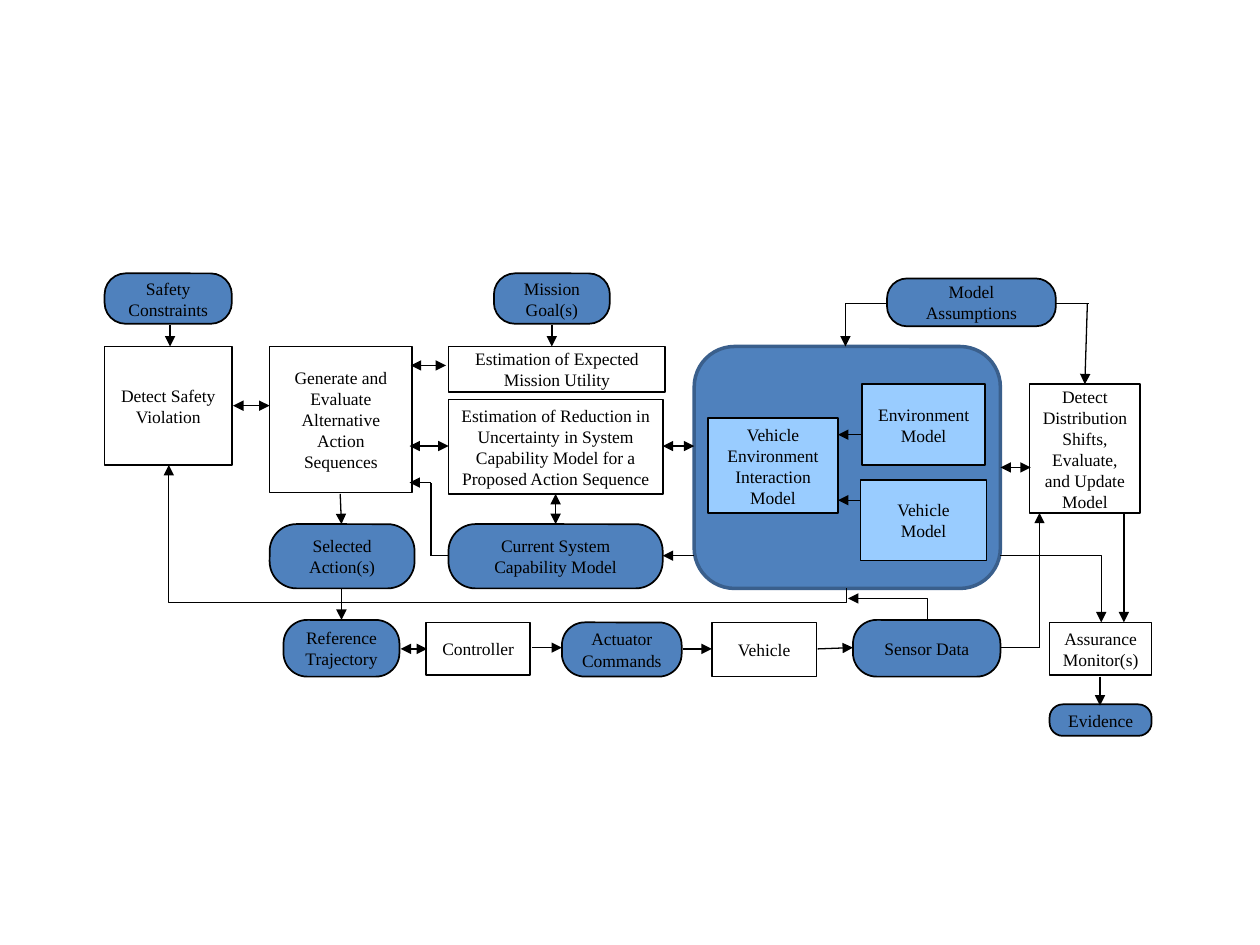
from itertools import pairwise
from lxml.etree import SubElement
from pptx import Presentation
from pptx.dml.color import RGBColor
from pptx.enum.shapes import MSO_CONNECTOR as Link, MSO_SHAPE as Form
from pptx.enum.text import MSO_ANCHOR as Anchor, PP_ALIGN as Align
from pptx.oxml.ns import qn
from pptx.util import Inches, Pt

COLUMNS, ROWS = 100, 75
INK, WHITE, BLUE, SKY, EDGE = "000000", "FFFFFF", "4F81BD", "99CCFF", "3A5F8C"


def color(code):
    return RGBColor.from_string(code)


class Diagram:
    font, size, roundness = "Times New Roman", 10, 0.419

    def __init__(self, deck):
        self.cell_w = deck.slide_width / COLUMNS
        self.cell_h = deck.slide_height / ROWS
        self.slide = deck.slides.add_slide(deck.slide_layouts[6])

    def place(self, x, y):
        return round(x * self.cell_w), round(y * self.cell_h)

    def block(self, form, at, fill, edge=INK, weight=1, lines=()):
        x, y, w, h = at
        block = self.slide.shapes.add_shape(form, *self.place(x, y), *self.place(w, h))
        block.shadow.inherit = False
        block.fill.solid()
        block.fill.fore_color.rgb = color(fill)
        block.line.color.rgb = color(edge)
        block.line.width = Pt(weight)
        self.label(block.text_frame, lines)
        return block

    def label(self, frame, lines):
        frame.word_wrap = True
        frame.vertical_anchor = Anchor.MIDDLE
        frame.margin_left = frame.margin_right = Inches(0.09)
        frame.margin_top = frame.margin_bottom = 0
        for i, words in enumerate(lines):
            paragraph = frame.add_paragraph() if i else frame.paragraphs[0]
            paragraph.alignment = Align.CENTER
            run = paragraph.add_run()
            run.text = words
            run.font.name = self.font
            run.font.size = Pt(self.size)
            run.font.color.rgb = color(INK)

    def process(self, at, *lines, fill=WHITE):
        self.block(Form.RECTANGLE, at, fill, lines=lines)

    def data(self, at, *lines):
        pill = self.block(Form.ROUNDED_RECTANGLE, at, BLUE, lines=lines)
        pill.adjustments[0] = self.roundness

    def link(self, start, end, head=False, tail=True, kind=Link.STRAIGHT):
        link = self.slide.shapes.add_connector(kind, *self.place(*start), *self.place(*end))
        link.line.color.rgb = color(INK)
        link.line.width = Pt(0.75)
        outline = link._element.spPr.find(qn("a:ln"))
        for wanted, side in ((head, "a:headEnd"), (tail, "a:tailEnd")):
            if wanted:
                SubElement(outline, qn(side), type="triangle")
        SubElement(link._element.spPr, qn("a:effectLst"))
        return link

    def route(self, *stops, tail=True):
        legs = list(pairwise(stops))
        for leg in legs:
            self.link(*leg, tail=tail and leg == legs[-1])

    def bend(self, start, end, preset, turn=0, adjust=None):
        properties = self.link(start, end, kind=Link.ELBOW)._element.spPr
        properties.find(qn("a:xfrm")).set("rot", str(turn * 60000))
        geometry = properties.find(qn("a:prstGeom"))
        geometry.set("prst", preset)
        if adjust is not None:
            guides = geometry.find(qn("a:avLst"))
            if guides is None:
                guides = SubElement(geometry, qn("a:avLst"))
            SubElement(guides, qn("a:gd"), name="adj1", fmla=f"val {round(adjust * 100000)}")


deck = Presentation()
deck.slide_width, deck.slide_height = Inches(10), Inches(7.5)
diagram = Diagram(deck)

diagram.route((67.1, 24.1), (86.4, 24.1), tail=False)
diagram.block(Form.ROUNDED_RECTANGLE, (55.1, 27.5, 24.3, 19.2), BLUE, EDGE, 2)

for at, *lines in (
    ((21.4, 27.5, 11.3, 11.6), "Generate and Evaluate Alternative Action Sequences"),
    ((8.3, 27.5, 10.1, 9.4), "Detect Safety Violation"),
    ((81.7, 30.5, 8.8, 10.2), "Detect Distribution Shifts, Evaluate, and Update Model"),
    ((35.6, 31.7, 17, 7.5), "Estimation of Reduction in Uncertainty in System "
                            "Capability Model for a Proposed Action Sequence"),
    ((35.6, 27.5, 17.2, 3.6), "Estimation of Expected Mission Utility"),
    ((83.3, 49.4, 8.1, 4.2), "Assurance", "Monitor(s)"),
    ((33.8, 49.4, 8.3, 4.2), "Controller"),
    ((56.5, 49.4, 8.3, 4.3), "Vehicle"),
):
    diagram.process(at, *lines)

for at, *lines in (
    ((56.2, 33.2, 10.3, 7.5), "Vehicle Environment", "Interaction Model"),
    ((68.4, 30.5, 9.8, 6.4), "Environment Model"),
    ((68.3, 38.1, 10, 6.4), "Vehicle", "Model"),
):
    diagram.process(at, *lines, fill=SKY)

for at, *lines in (
    ((8.3, 21.7, 10.1, 4), "Safety", "Constraints"),
    ((39.2, 21.7, 9.2, 4), "Mission Goal(s)"),
    ((70.4, 22.1, 13.4, 3.8), "Model Assumptions"),
    ((21.4, 41.6, 11.5, 5.1), "Selected", "Action(s)"),
    ((35.6, 41.6, 17, 5.1), "Current System Capability Model"),
    ((22.5, 49.2, 9.2, 4.5), "Reference", "Trajectory"),
    ((44.6, 49.4, 9.5, 4.3), "Actuator", "Commands"),
    ((67.7, 49.2, 11.7, 4.5), "Sensor Data"),
    ((83.3, 55.9, 8.1, 2.5), "Evidence"),
):
    diagram.data(at, *lines)

for stops in (
    ((13.5, 25.8), (13.5, 27.5)),
    ((43.8, 25.8), (43.8, 27.5)),
    ((67.1, 24.1), (67.1, 27.5)),
    ((86.3, 24.1), (86.1, 30.5)),
    ((27, 39.2), (27.1, 41.6)),
    ((27.1, 46.7), (27.1, 49.2)),
    ((55.1, 44.1), (52.6, 44.1)),
    ((68.3, 34.5), (66.5, 34.5)),
    ((68.3, 39.7), (66.5, 39.7)),
    ((42.2, 51.4), (44.6, 51.4)),
    ((54.2, 51.5), (56.5, 51.5)),
    ((64.9, 51.5), (67.7, 51.4)),
    ((89.2, 40.7), (89.2, 49.4)),
    ((87.3, 53.7), (87.3, 56)),
    ((79.4, 51.4), (82.5, 51.4), (82.5, 40.7)),
    ((35.6, 44.1), (34.2, 44.1), (34.2, 38.3), (32.5, 38.3)),
):
    diagram.route(*stops)

for start, end in (
    ((18.5, 32.2), (21.4, 32.2)),
    ((32.6, 29), (35.4, 29)),
    ((32.5, 35.4), (35.6, 35.4)),
    ((52.6, 35.4), (55.1, 35.4)),
    ((44.1, 39.2), (44.1, 41.6)),
    ((81.8, 37.1), (79.4, 37.1)),
    ((31.8, 51.5), (33.9, 51.5)),
):
    diagram.link(start, end, head=True)

diagram.bend((79.4, 44.1), (87.4, 49.4), "bentConnector2")
diagram.bend((45.2, 14.9), (35.4, 68.7), "bentConnector3", 90, -0.116)
diagram.bend((69.6, 51.5), (71.3, 45.2), "bentConnector2", 270)

deck.save("out.pptx")
